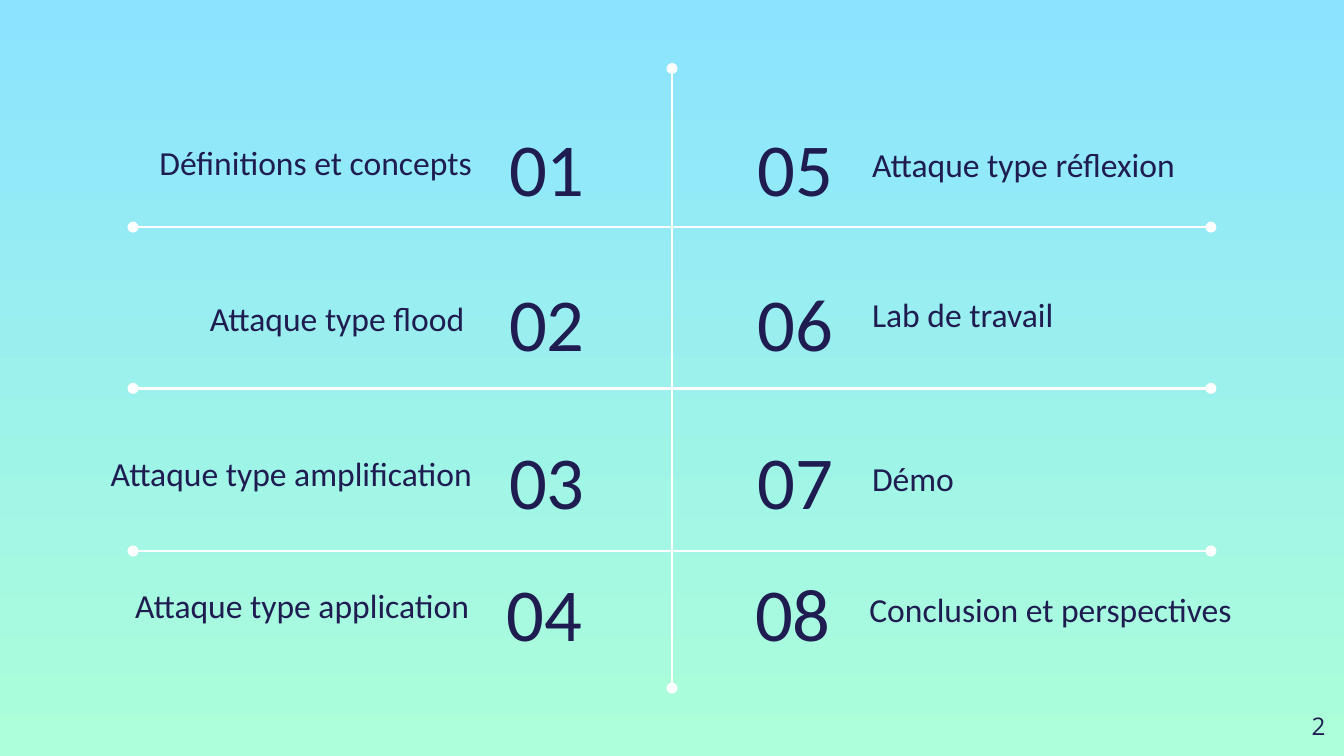
from dataclasses import dataclass

from lxml.etree import SubElement
from pptx import Presentation
from pptx.dml.color import RGBColor as Rgb
from pptx.enum.shapes import MSO_CONNECTOR as Link
from pptx.enum.text import MSO_ANCHOR as Anchor, PP_ALIGN as Align
from pptx.oxml.ns import qn
from pptx.util import Inches, Pt

# The grid: 100 columns by 56.25 rows, each cell a tenth of an inch.
COLS, ROWS = 100, 56.25
MID = COLS / 2


@dataclass(frozen=True)
class Theme:
    """Colours, fonts and type sizes."""
    top: str = "8BE3FF"
    base: str = "ACFFD9"
    ink: str = "1F1C51"
    rule: str = "FFFFFF"
    font: str = "Calibri"
    small: str = "Open Sans"
    digit: int = 40
    label: int = 18
    page: int = 13
    width: float = 1.5


THEME = Theme()

# Column shift, number row, then each side's label with its row.
ITEMS = [
    (0, 8.1, ("Définitions et concepts", 9.6), ("Attaque type réflexion", 9.7)),
    (0, 19.6, ("Attaque type flood ", 21.2), ("Lab de travail", 20.9)),
    (0, 31.4, ("Attaque type amplification", 32.7), ("Démo", 33.1)),
    (-0.2, 41.2, ("Attaque type application", 42.5),
     ("Conclusion et perspectives", 42.8)),
]
RULES = (16.9, 28.9, 41)


def cell(count):
    """Turn a count of grid cells into a length."""
    return Inches(count / 10)


def paint(slide):
    """Fill the background with the vertical gradient."""
    fill = slide.background.fill
    fill.gradient()
    fill.gradient_angle = 270
    for stop, tone in zip(fill.gradient_stops, (THEME.top, THEME.base)):
        stop.color.rgb = Rgb.from_string(tone)
    for stop, place in zip(fill.gradient_stops, (0, 1)):
        stop.position = place


def write(slide, text, box, size, align, anchor, font=THEME.font):
    """Place one line of text in a box of grid cells."""
    frame = slide.shapes.add_textbox(*map(cell, box)).text_frame
    frame.word_wrap = True
    frame.vertical_anchor = anchor
    frame.margin_left = frame.margin_right = cell(1)
    frame.margin_top = frame.margin_bottom = cell(1)
    line = frame.paragraphs[0]
    line.text = text
    line.alignment = align
    line.font.name = font
    line.font.size = Pt(size)
    line.font.color.rgb = Rgb.from_string(THEME.ink)


def rule(slide, *ends):
    """Draw a line with a round dot at both ends."""
    line = slide.shapes.add_connector(Link.STRAIGHT, *map(cell, ends))
    line.line.color.rgb = Rgb.from_string(THEME.rule)
    line.line.width = Pt(THEME.width)
    pen = line.line._get_or_add_ln()
    for end in ("a:headEnd", "a:tailEnd"):
        SubElement(pen, qn(end), type="oval")
    SubElement(line._element.spPr, qn("a:effectLst"))


def entry(slide, num, top, label, row, shift, left):
    """Write a number beside the axis and its label further out."""
    inner, outer = (Align.LEFT, Align.RIGHT) if left else (Align.RIGHT, Align.LEFT)
    col = (36.9 if left else MID) + shift
    write(slide, f"{num:02}", (col, top, 13, 8.6), THEME.digit, inner,
          Anchor.MIDDLE)
    wide = 32.8
    edge = (36.1 - wide if left else 63.9) + shift
    write(slide, label, (edge, row, wide, 5), THEME.label, outer,
          Anchor.BOTTOM)


def main():
    """Build the agenda slide."""
    deck = Presentation()
    deck.slide_width, deck.slide_height = cell(COLS), cell(ROWS)
    slide = deck.slides.add_slide(deck.slide_layouts[6])
    paint(slide)
    rule(slide, MID, 5.1, MID, 51.2)
    for row in RULES:
        rule(slide, 9.9, row, COLS - 9.9, row)
    for num, (shift, top, near, far) in enumerate(ITEMS, 1):
        entry(slide, num, top, *near, shift, True)
        entry(slide, num + len(ITEMS), top, *far, shift, False)
    write(slide, "2", (93.6, 51.9, 6, 4.3), THEME.page, Align.RIGHT,
          Anchor.TOP, THEME.small)
    deck.save("out.pptx")


main()
